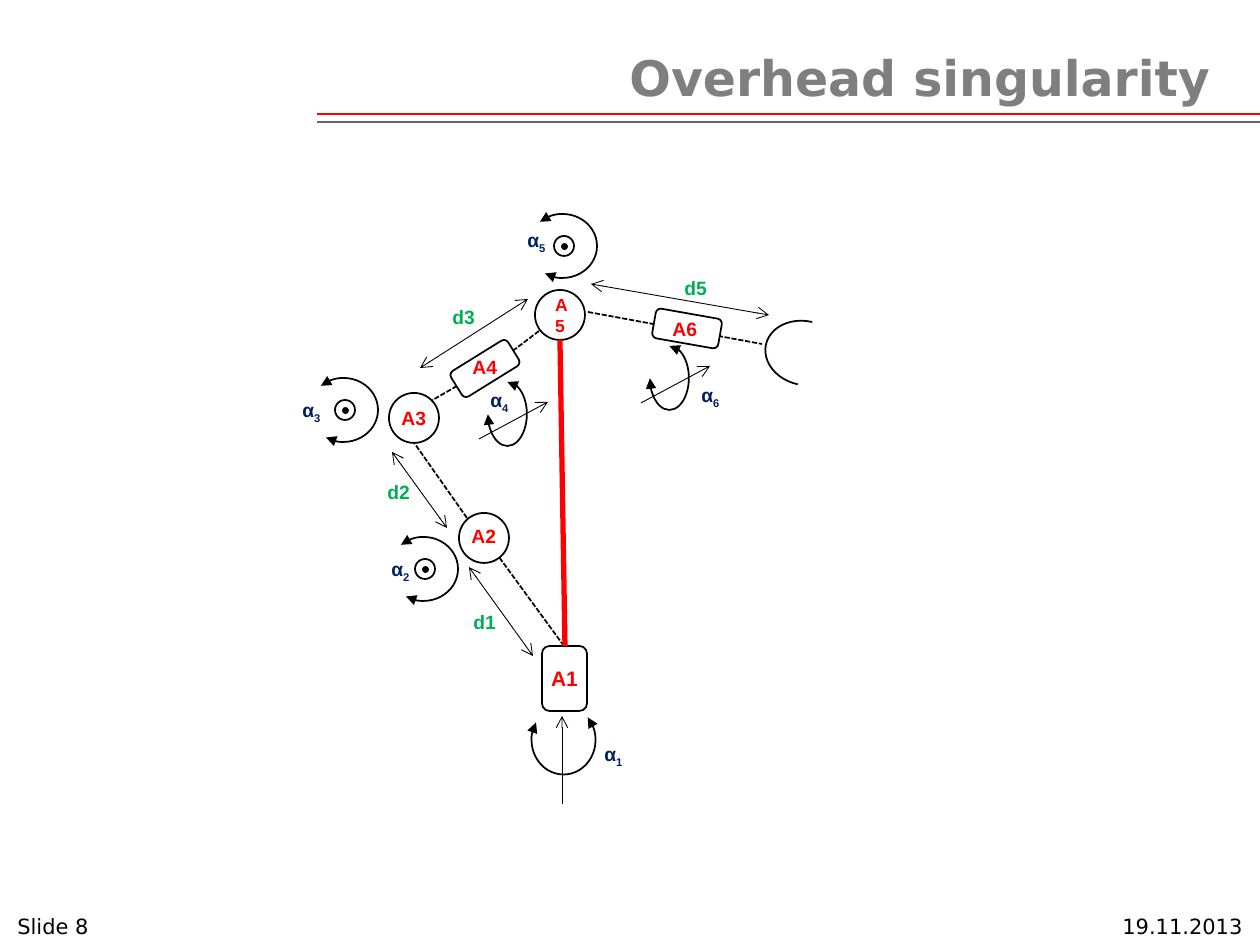
"""Build the slide on the overhead singularity of a six-axis robot arm."""
import pptx
import pptx.util
import pptx.dml.color
import pptx.enum.dml
import pptx.enum.shapes
import pptx.enum.text
import pptx.oxml.ns
import lxml.etree

PX = 914400 / 126
COLORS = {"black": "000000", "white": "FFFFFF", "red": "FF0000", "rule": "666666",
          "title": "7F7F7F", "length": "00B050", "angle": "002060"}
RGB = {name: pptx.dml.color.RGBColor.from_string(c) for name, c in COLORS.items()}
KIND = pptx.enum.shapes.MSO_SHAPE
ALIGN = pptx.enum.text.PP_ALIGN
ANCHOR = pptx.enum.text.MSO_ANCHOR

prs = pptx.Presentation()
prs.slide_width, prs.slide_height = round(1260 * PX), round(945 * PX)
slide = prs.slides.add_slide(prs.slide_layouts[5])
shapes = slide.shapes


def add_line(x1, y1, x2, y2, color="black", width=0.5, dashed=False, arrows=()):
    ends = [round(v * PX) for v in (x1, y1, x2, y2)]
    ln = shapes.add_connector(pptx.enum.shapes.MSO_CONNECTOR.STRAIGHT, *ends)
    ln.line.color.rgb = RGB[color]
    ln.line.width = pptx.util.Pt(width)
    if dashed:
        ln.line.dash_style = pptx.enum.dml.MSO_LINE.SQUARE_DOT
    for end in arrows:
        lxml.etree.SubElement(ln.line._get_or_add_ln(), pptx.oxml.ns.qn(f"a:{end}"), type="arrow")
    lxml.etree.SubElement(ln._element.spPr, pptx.oxml.ns.qn("a:effectLst"))


def add_outline(kind, x, y, w, h, fill=None, rotation=0, angles=(), arrows=()):
    sp = shapes.add_shape(kind, *[round(v * PX) for v in (x, y, w, h)])
    sp.shadow.inherit = False
    sp.rotation = rotation
    if fill:
        sp.fill.solid()
        sp.fill.fore_color.rgb = RGB[fill]
    else:
        sp.fill.background()
    sp.line.color.rgb = RGB["black"]
    sp.line.width = pptx.util.Pt(1)
    for i, angle in enumerate(angles):
        sp.adjustments[i] = angle
    for end in arrows:
        lxml.etree.SubElement(sp.line._get_or_add_ln(), pptx.oxml.ns.qn(f"a:{end}"), type="triangle")
    return sp


BOTH = ("headEnd", "tailEnd")
TURN = (136.1, 73.49)
TWIST = (162, 107.39)

add_line(317, 114, 1260, 114, "red", 1.42)
add_line(317, 122, 1260, 122, "rule", 1.42)

title = shapes.title
title.left, title.top, title.width, title.height = [round(v * PX) for v in (305, 28, 935, 98)]
tf = title.text_frame
tf.text = "Overhead singularity"
tf.vertical_anchor = ANCHOR.MIDDLE
tf.margin_right = round(30 * PX)
p = tf.paragraphs[0]
p.alignment = ALIGN.RIGHT
p.font.name, p.font.size, p.font.bold = "DejaVu Sans", pptx.util.Pt(28), True
p.font.color.rgb = RGB["title"]

for text, x, w, align in [("19.11.2013", 947, 308, ALIGN.RIGHT), ("Slide 8", 5, 149, ALIGN.LEFT)]:
    tf = shapes.add_textbox(*[round(v * PX) for v in (x, 905, w, 40)]).text_frame
    tf.word_wrap = True
    tf.vertical_anchor = ANCHOR.BOTTOM
    tf.text = text
    p = tf.paragraphs[0]
    p.alignment = align
    p.font.name, p.font.size = "DejaVu Sans", pptx.util.Pt(12)
    p.font.color.rgb = RGB["black"]

for link in [(564, 646, 499, 557), (467, 518, 415, 444), (457, 386, 431, 401),
             (539, 331, 514, 350), (588, 312, 762, 344)]:
    add_line(*link, width=1, dashed=True)

base = add_outline(KIND.ROUNDED_RECTANGLE, 542, 646, 45, 65)
wrist = add_outline(KIND.OVAL, 535, 290, 50, 50)
for x, y in [(459, 513), (389, 393)]:
    add_outline(KIND.OVAL, x, y, 50, 50)
for x, y, rotation in [(470, 335, 58.2), (672, 295, 100)]:
    add_outline(KIND.ROUNDED_RECTANGLE, x, y, 30, 67, "white", rotation)

for sp, text, size, inset in [(base, "A1", 12, 5), (wrist, "A5", 10, 13)]:
    tf = sp.text_frame
    tf.word_wrap = True
    tf.vertical_anchor = ANCHOR.MIDDLE
    tf.margin_left = tf.margin_right = round(inset * PX)
    tf.text = text
    p = tf.paragraphs[0]
    p.alignment = ALIGN.CENTER
    p.font.name, p.font.size, p.font.bold = "Arial", pptx.util.Pt(size), True
    p.font.color.rgb = RGB["red"]

for span in [(469, 567, 533, 656), (528, 299, 420, 368),
             (392, 452, 447, 528), (769, 315, 591, 284)]:
    add_line(*span, arrows=BOTH)

for x, y in [(309, 378), (389, 537), (528, 214)]:
    add_outline(KIND.ARC, x, y, 69, 64, angles=TURN, arrows=BOTH)
    add_outline(KIND.OVAL, x + 26, y + 22, 20, 20)
    add_outline(KIND.OVAL, x + 34, y + 30, 5, 5, "black")

for x, y in [(488, 382), (650, 346)]:
    add_outline(KIND.ARC, x, y, 39, 64, angles=TWIST, arrows=BOTH)
    add_line(x + 60, y + 20, x - 9, y + 57, arrows=["headEnd"])

add_line(562, 716, 562, 804, arrows=["headEnd"])
add_outline(KIND.ARC, 529, 708, 69, 64, rotation=90, angles=TURN, arrows=BOTH)
add_line(560, 340, 565, 646, "red", 3)
add_outline(KIND.ARC, 765, 321, 79, 64, rotation=192.2, angles=(162, 55.09))

labels = [
    ("A2", "", 459, 518, 59, "red"), ("A3", "", 389, 400, 59, "red"),
    ("A4", "", 460, 349, 68, "red"), ("A6", "", 660, 311, 68, "red"),
    ("d1", "", 461, 604, 48, "length"), ("d2", "", 375, 474, 48, "length"),
    ("d3", "", 440, 299, 48, "length"), ("d5", "", 672, 270, 48, "length"),
    ("α", "1", 592, 736, 49, "angle"), ("α", "2", 379, 551, 49, "angle"),
    ("α", "3", 290, 392, 49, "angle"), ("α", "4", 478, 382, 49, "angle"),
    ("α", "5", 515, 222, 49, "angle"), ("α", "6", 689, 377, 49, "angle"),
]
for text, index, x, y, w, color in labels:
    tf = shapes.add_textbox(*[round(v * PX) for v in (x, y, w, 37)]).text_frame
    tf.word_wrap = color != "length"
    p = tf.paragraphs[0]
    p.font.name, p.font.size, p.font.bold = "Arial", pptx.util.Pt(11), True
    p.font.color.rgb = RGB[color]
    p.add_run().text = text
    if index:
        r = p.add_run()
        r.text = index
        r.font._element.set("baseline", "-25000")

prs.save("out.pptx")
